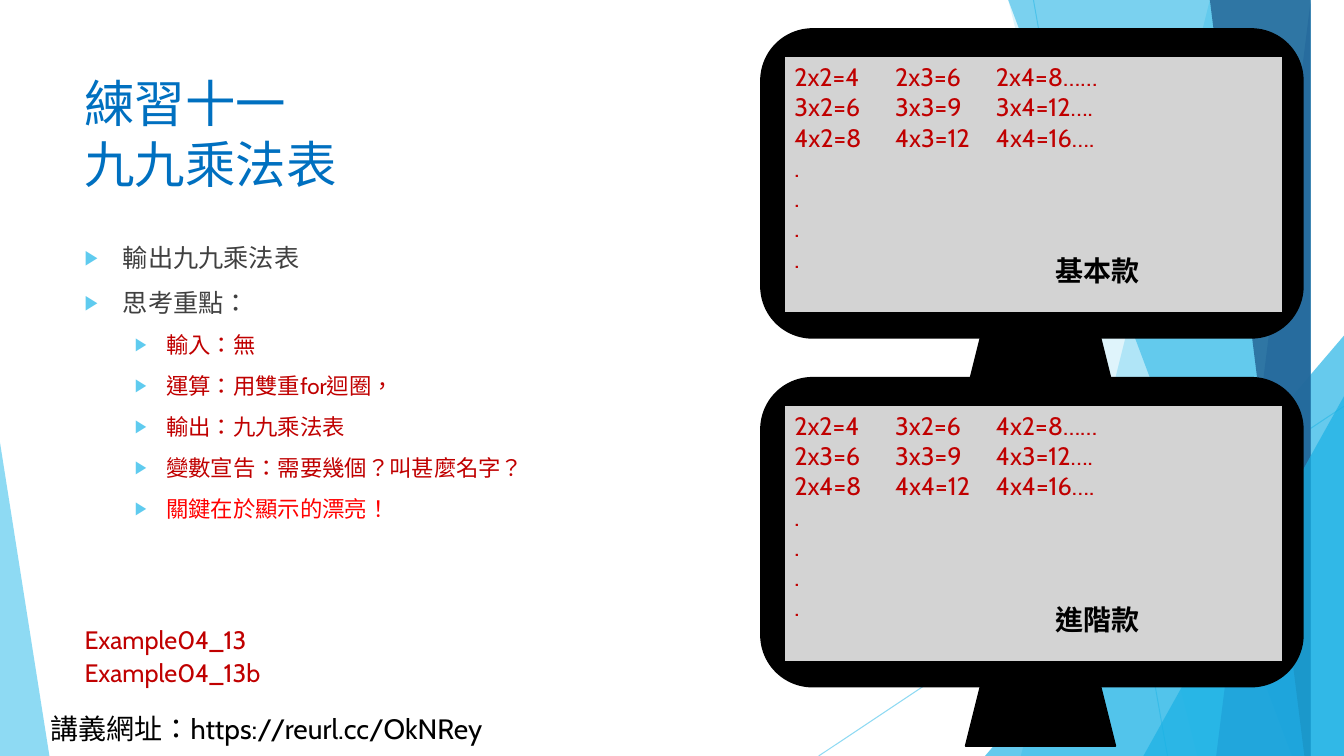
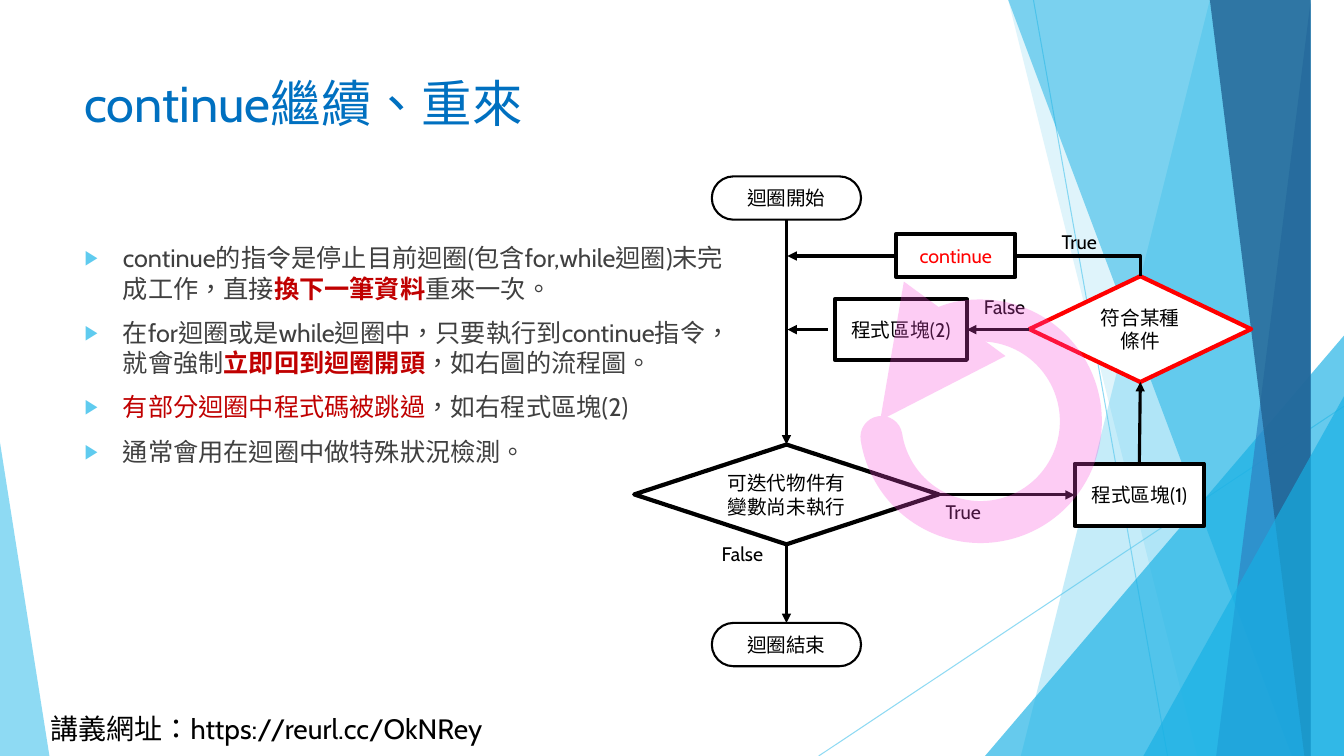
from lxml.etree import SubElement
from pptx import Presentation
from pptx.dml.color import RGBColor
from pptx.enum.shapes import MSO_CONNECTOR, MSO_SHAPE
from pptx.enum.text import MSO_ANCHOR, PP_ALIGN
from pptx.oxml.ns import qn
from pptx.util import Inches, Pt

COLORS = {
    "sky": "5FCBEF", "cyan": "17B0E4", "blue": "2E83C3", "navy": "226292",
    "title": "0070C0", "body": "404040", "dark_red": "C00000", "red": "FF0000",
    "black": "000000", "white": "FFFFFF", "screen": "D3D3D3", "pink": "F84ADB",
}
FONT = "Cabin"
CJK_FONT = "Noto Sans CJK SC"
WIDTH, HEIGHT = 13.33, 7.5
SKEWED_BANDS = [
    (12.28, 10.04, "sky", 36),
    (10.5, 11.83, "sky", 20),
    (10.21, 12.91, "cyan", 50),
    (13.03, 11.92, "blue", 70),
    (11.96, 13.18, "navy", 80),
]
CORNERS = [
    ((9.77, 3.33, 3.56, 4.17), 1, "cyan", 66),
    ((11.34, 3.93, 1.99, 3.57), 1, "cyan", 66),
    ((0, 4.39, 0.49, 3.11), 0, "sky", 70),
]
BULLETS = [
    {"margin": 0.38, "hang": 0.38, "size": 18},
    {"margin": 0.81, "hang": 0.31, "size": 16},
]


def rgb(color):
    return RGBColor.from_string(COLORS[color])


def set_alpha(shape, percent):
    tint = next(shape.element.spPr.iter(qn("a:srgbClr")))
    SubElement(tint, qn("a:alpha"), val=str(percent * 1000))


def paint(shape, fill=None, line=None, weight=1.5):
    shape.shadow.inherit = False
    if fill:
        shape.fill.solid()
        shape.fill.fore_color.rgb = rgb(fill)
    else:
        shape.fill.background()
    if line:
        shape.line.color.rgb = rgb(line)
        shape.line.width = Pt(weight)
    else:
        shape.line.fill.background()


def add_run(paragraph, text, size, color, bold=False, asian=FONT):
    run = paragraph.add_run()
    run.text = text
    formats = {"size": Pt(size), "bold": bold, "name": FONT}
    for name, value in formats.items():
        setattr(run.font, name, value)
    run.font.color.rgb = rgb(color)
    properties = run.font._element
    properties.set("lang", "zh-TW")
    SubElement(properties, qn("a:ea"), typeface=asian)


def write_lines(frame, lines, size, color, align=PP_ALIGN.LEFT, anchor=MSO_ANCHOR.TOP, **style):
    formats = {"word_wrap": True, "vertical_anchor": anchor}
    for name, value in formats.items():
        setattr(frame, name, value)
    for index, line in enumerate(lines):
        paragraph = frame.paragraphs[0] if index == 0 else frame.add_paragraph()
        paragraph.alignment = align
        add_run(paragraph, line, size, color, **style)


def add_label(slide, box, text, size, color="black", **style):
    frame = slide.shapes.add_textbox(*map(Inches, box)).text_frame
    write_lines(frame, [text], size, color, **style)
    frame.word_wrap = False


def add_title(slide, *lines):
    frame = slide.shapes.add_textbox(*map(Inches, (0.74, 0.67, 9.4, 1.44))).text_frame
    write_lines(frame, lines, 36, "title")


def add_bullets(slide, width, items):
    frame = slide.shapes.add_textbox(*map(Inches, (0.74, 2.36, width, 4.24))).text_frame
    frame.word_wrap = True
    for index, (level, runs) in enumerate(items):
        paragraph = frame.paragraphs[0] if index == 0 else frame.add_paragraph()
        bullet = BULLETS[level]
        paragraph.level = level
        paragraph.space_before = Pt(10 if index else 0)
        properties = paragraph._p.get_or_add_pPr()
        properties.set("marL", str(Inches(bullet["margin"])))
        properties.set("indent", str(-Inches(bullet["hang"])))
        tint = SubElement(properties, qn("a:buClr"))
        SubElement(tint, qn("a:srgbClr"), val=COLORS["sky"])
        SubElement(properties, qn("a:buSzPct"), val="80000")
        SubElement(properties, qn("a:buFont"), typeface="Arial")
        SubElement(properties, qn("a:buChar"), char="▶")
        for text, color, bold in runs:
            add_run(paragraph, text, bullet["size"], color, bold)


def add_line(slide, start, end, color="black", weight=2.25, arrow="tailEnd", bent=False):
    kind = MSO_CONNECTOR.ELBOW if bent else MSO_CONNECTOR.STRAIGHT
    connector = slide.shapes.add_connector(kind, *map(Inches, start + end))
    connector.line.color.rgb = rgb(color)
    connector.line.width = Pt(weight)
    properties = connector.element.spPr
    if bent:
        properties.find(qn("a:prstGeom")).set("prst", "bentConnector2")
    if arrow:
        SubElement(properties.find(qn("a:ln")), qn(f"a:{arrow}"), type="triangle")
    SubElement(properties, qn("a:effectLst"))
    return connector


def add_backdrop(slide):
    for start, end in [((10.25, 0), (11.58, HEIGHT)), ((WIDTH, 4.03), (8.12, HEIGHT))]:
        set_alpha(add_line(slide, start, end, "sky", 0.75, arrow=None), 70)

    def add_corner(box, apex, color, alpha):
        corner = slide.shapes.add_shape(MSO_SHAPE.ISOSCELES_TRIANGLE, *map(Inches, box))
        corner.adjustments[0] = apex
        paint(corner, color)
        set_alpha(corner, alpha)

    def add_band(top, bottom, color, alpha):
        outline = slide.shapes.build_freeform(top, -0.01, scale=Inches(1))
        outline.add_line_segments([(WIDTH, -0.01), (WIDTH, HEIGHT), (bottom, HEIGHT)])
        band = outline.convert_to_shape()
        paint(band, color)
        set_alpha(band, alpha)

    for band in SKEWED_BANDS[:2]:
        add_band(*band)
    add_corner(*CORNERS[0])
    for band in SKEWED_BANDS[2:]:
        add_band(*band)
    for corner in CORNERS[1:]:
        add_corner(*corner)


def new_slide(deck, *title):
    slide = deck.slides.add_slide(deck.slide_layouts[6])
    add_backdrop(slide)
    add_label(slide, (0.4, 7.01, 4.73, 0.44), "講義網址：https://reurl.cc/OkNRey", 20)
    add_title(slide, *title)
    return slide


def add_monitor(slide, top, rows):
    parts = [
        (MSO_SHAPE.ROUNDED_RECTANGLE, (7.55, top, 5.37, 3.06), "black"),
        (MSO_SHAPE.RECTANGLE, (7.78, top + 0.27, 4.95, 2.55), "screen"),
        (MSO_SHAPE.TRAPEZOID, (9.58, top + 3.06, 1.48, 0.59), "black"),
    ]
    for kind, box, fill in parts:
        part = slide.shapes.add_shape(kind, *map(Inches, box))
        paint(part, fill, "black")
        if fill == "screen":
            write_lines(part.text_frame, rows + ["."] * 4, 18, "dark_red")


def add_step(slide, kind, box, text, line="black", weight=3, color="black"):
    step = slide.shapes.add_shape(kind, *map(Inches, box))
    paint(step, "white", line, weight)
    if kind == MSO_SHAPE.ROUNDED_RECTANGLE:
        step.adjustments[0] = 0.5
    write_lines(step.text_frame, [text], 14, color, PP_ALIGN.CENTER, MSO_ANCHOR.MIDDLE)


def add_loop_arrow(slide):
    loop = slide.shapes.add_shape(MSO_SHAPE.ARC, *map(Inches, (8.73, 3.18, 1.99, 2)))
    loop.adjustments[0] = 108.3
    loop.adjustments[1] = 102.59
    paint(loop, line="pink", weight=30)
    set_alpha(loop, 28)
    stroke = loop.element.spPr.find(qn("a:ln"))
    stroke.set("cap", "rnd")
    SubElement(stroke, qn("a:headEnd"), type="triangle")


def build_times_table(deck):
    slide = new_slide(deck, "練習十一", "九九乘法表")
    add_bullets(slide, 9.4, [
        (0, [("輸出九九乘法表", "body", False)]),
        (0, [("思考重點：", "body", False)]),
        (1, [("輸入：無", "dark_red", False)]),
        (1, [("運算：用雙重for迴圈，", "dark_red", False)]),
        (1, [("輸出：九九乘法表", "dark_red", False)]),
        (1, [("變數宣告：需要幾個？叫甚麼名字？", "dark_red", False)]),
        (1, [("關鍵在於顯示的漂亮！", "red", False)]),
    ])
    versions = [
        (0.29, "基本款", ["2x2=4\t2x3=6\t2x4=8……", "3x2=6\t3x3=9\t3x4=12….", "4x2=8\t4x3=12\t4x4=16…."]),
        (3.75, "進階款", ["2x2=4\t3x2=6\t4x2=8……", "2x3=6\t3x3=9\t4x3=12….", "2x4=8\t4x4=12\t4x4=16…."]),
    ]
    for top, _, rows in versions:
        add_monitor(slide, top, rows)
    for top, version, _ in versions:
        add_label(slide, (10.37, top + 2.18, 1.04, 0.44), version, 20, bold=True, asian=CJK_FONT)
    add_label(slide, (0.74, 6.14, 1.83, 0.4), "Example04_13", 18, "dark_red")
    add_label(slide, (0.74, 6.47, 1.97, 0.4), "Example04_13b", 18, "dark_red")


def build_continue(deck):
    slide = new_slide(deck, "continue繼續、重來")
    add_bullets(slide, 6.56, [
        (0, [("continue的指令是停止目前迴圈(包含for,while迴圈)未完成工作，直接", "body", False),
             ("換下一筆資料", "dark_red", True), ("重來一次。", "body", False)]),
        (0, [("在for迴圈或是while迴圈中，只要執行到continue指令，就會強制", "body", False),
             ("立即回到迴圈開頭", "dark_red", True), ("，如右圖的流程圖。", "body", False)]),
        (0, [("有部分迴圈中程式碼被跳過", "dark_red", False), ("，如右程式區塊(2)", "body", False)]),
        (0, [("通常會用在迴圈中做特殊狀況檢測。", "body", False)]),
    ])
    for top, text in [(1.75, "迴圈開始"), (6.18, "迴圈結束")]:
        add_step(slide, MSO_SHAPE.ROUNDED_RECTANGLE, (7.06, top, 1.48, 0.43), text, weight=1.5)
    add_step(slide, MSO_SHAPE.DIAMOND, (6.29, 4.41, 3.02, 0.99), "可迭代物件有變數尚未執行")
    add_step(slide, MSO_SHAPE.RECTANGLE, (10.66, 4.6, 1.28, 0.62), "程式區塊(1)")
    add_step(slide, MSO_SHAPE.DIAMOND, (10.21, 2.74, 2.2, 1.05), "符合某種條件", line="red")
    add_step(slide, MSO_SHAPE.RECTANGLE, (8.28, 2.97, 1.31, 0.6), "程式區塊(2)")
    for start, end in [
        ((7.8, 5.41), (7.8, 6.18)),
        ((11.3, 4.6), (11.31, 3.79)),
        ((7.8, 2.18), (7.8, 4.41)),
        ((9.31, 4.91), (10.66, 4.91)),
        ((10.21, 3.27), (9.59, 3.27)),
        ((8.21, 3.27), (7.81, 3.27)),
    ]:
        add_line(slide, start, end)
    add_line(slide, (7.81, 2.54), (11.31, 2.74), arrow="headEnd", bent=True)
    for left, top, answer in [
        (9.28, 4.91, "True"), (7.06, 5.33, "False"),
        (10.43, 2.23, "True"), (9.66, 2.88, "False"),
    ]:
        add_label(slide, (left, top, 0.59 if answer == "True" else 0.65, 0.34), answer, 14)
    add_loop_arrow(slide)
    add_step(slide, MSO_SHAPE.RECTANGLE, (8.89, 2.32, 1.18, 0.43), "continue", color="red")


def main():
    deck = Presentation()
    deck.slide_width = Inches(WIDTH)
    deck.slide_height = Inches(HEIGHT)
    build_times_table(deck)
    build_continue(deck)
    deck.save("out.pptx")


if __name__ == "__main__":
    main()
